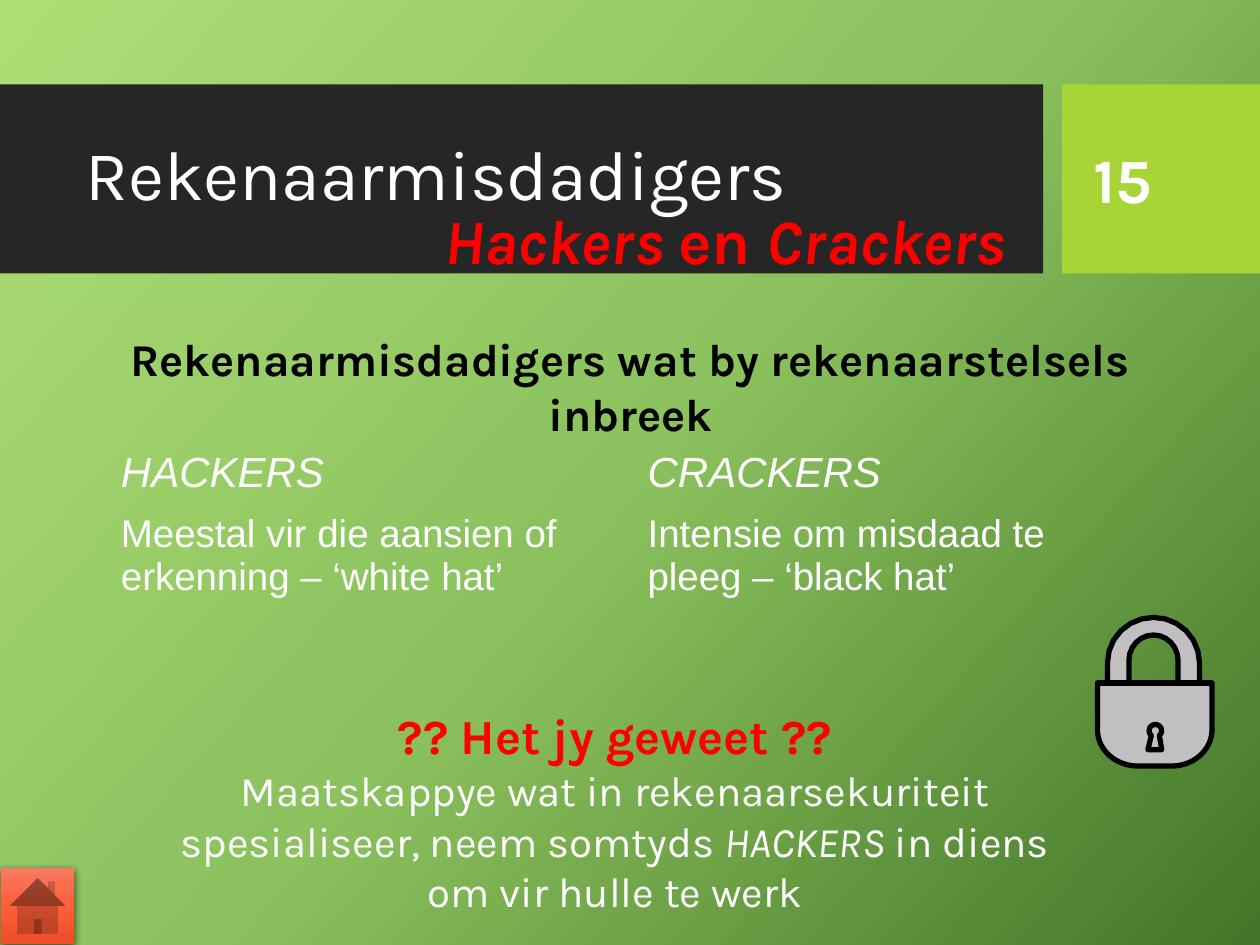
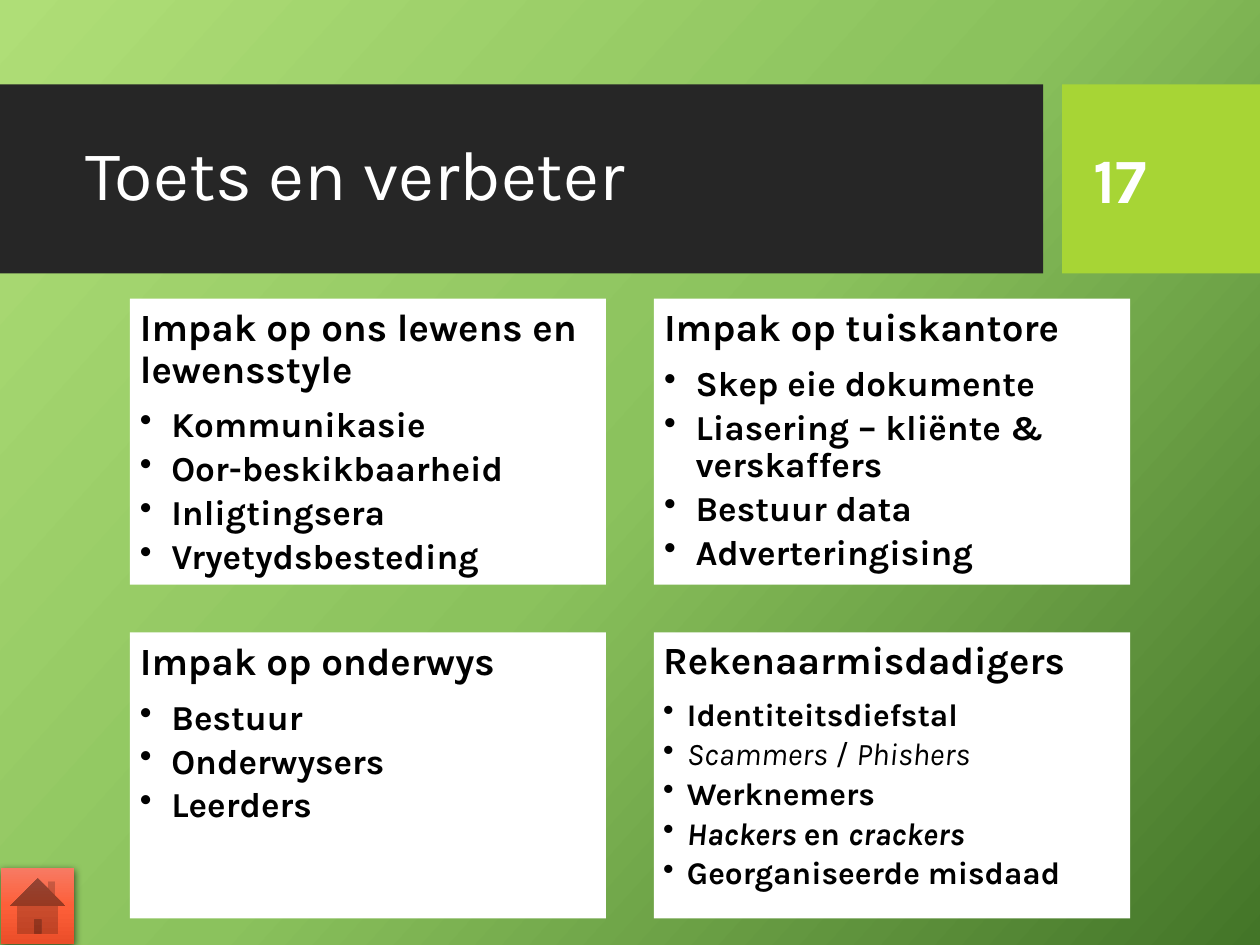
import copy
import math

from lxml import etree
from pptx import Presentation
from pptx import util as u
from pptx.dml.color import RGBColor
from pptx.enum import shapes, text
from pptx.oxml import ns

# The slide is a grid of 100 columns by 75 rows of square cells
COLS, ROWS = 100, 75
WIDE = u.Inches(10)
CELL = WIDE // COLS

HEX = {
    "band": "262626", "lime": "A7D535", "white": "FFFFFF", "black": "000000",
    "red": "FF0000", "steel": "C0C0C0",
}
GREENS = ["AFDE77", "8BC25D", "437528"]
CORALS = ["F77A63", "FD5F39", "EB4E29"]
FONT = "Karla"
LEAD = 1.17  # line height of the font, per point of size
PLAIN = "{2D5ABB26-0587-4C30-8999-92F81FD0307C}"  # table style without grid

PANELS = [
    ("Impak op ons lewens en lewensstyle",
     ["Kommunikasie", "Oor-beskikbaarheid", "Inligtingsera",
      "Vryetydsbesteding"], 20),
    ("Impak op tuiskantore",
     ["Skep eie dokumente", "Liasering – kliënte & verskaffers",
      "Bestuur data", "Adverteringising"], 20),
    ("Impak op onderwys", ["Bestuur", "Onderwysers", "Leerders"], 20),
    ("Rekenaarmisdadigers",
     ["Identiteitsdiefstal",
      [("Scammers", True), (" / ", False), ("Phishers", True)],
      "Werknemers",
      [("Hackers ", True), ("en ", False), ("crackers", True)],
      "Georganiseerde misdaad"], 18),
]
LIGHT = PANELS[3][1][1]  # the one item that is not bold


def rgb(name):
    return RGBColor.from_string(HEX[name])


def cells(*nums):
    return [round(n * CELL) for n in nums]


def blend(fill, tones, angle):
    """Three-stop gradient; the angle runs clockwise."""
    fill.gradient()
    first = fill.gradient_stops[0]._gs
    first.addnext(copy.deepcopy(first))
    for stop, tone, place in zip(fill.gradient_stops, tones, (0, 0.5, 1)):
        stop.color.rgb = RGBColor.from_string(tone)
        stop.position = place
    fill.gradient_angle = 360 - angle


# Text
def write(frame, runs, size, color="white", bold=False, align="LEFT",
          font=FONT, lead=None, after=0, hang=0):
    """Add a paragraph; runs is a string or a list of (words, italic)."""
    para = frame.paragraphs[0]
    if para.runs:
        para = frame.add_paragraph()
    if hang:
        props = para._p.get_or_add_pPr()
        props.set("marL", str(u.Inches(hang)))
        props.set("indent", str(-u.Inches(hang)))
        etree.SubElement(props, ns.qn("a:buChar")).set("char", "•")
    para.alignment = getattr(text.PP_ALIGN, align)
    para.space_after = u.Pt(round(after * LEAD * size, 1))
    if lead:
        para.line_spacing = lead
    para.font.name, para.font.size = font, u.Pt(size)
    para.font.bold, para.font.color.rgb = bold, rgb(color)
    if isinstance(runs, str):
        runs = [(runs, False)]
    for words, slant in runs:
        run = para.add_run()
        run.text = words
        if slant:
            run.font.italic = True


def label(slide, box, middle=False):
    frame = slide.shapes.add_textbox(*cells(*box)).text_frame
    frame.word_wrap = True
    if middle:
        frame.vertical_anchor = text.MSO_ANCHOR.MIDDLE
    return frame


# Shapes
def block(slide, box, color, kind="RECTANGLE"):
    shape = slide.shapes.add_shape(
        getattr(shapes.MSO_SHAPE, kind), *cells(*box))
    shape.shadow.inherit = False
    shape.line.fill.background()
    shape.fill.solid()
    shape.fill.fore_color.rgb = rgb(color)
    return shape


def home(slide):
    button = block(slide, (0.1, 68.9, 5.8, 6), "red", "ACTION_BUTTON_HOME")
    blend(button.fill, CORALS, 90)
    glow = button._element.spPr.find(ns.qn("a:effectLst"))
    shade = etree.SubElement(
        glow, ns.qn("a:outerShdw"), blurRad=str(u.Pt(4.5)),
        dist=str(u.Pt(1.5)), dir="5400000", algn="ctr", rotWithShape="0")
    tone = etree.SubElement(shade, ns.qn("a:srgbClr"), val=HEX["black"])
    etree.SubElement(tone, ns.qn("a:alpha"), val="63000")


def ink(shape):
    shape.line.color.rgb = rgb("black")
    shape.line.width = u.Pt(3)


def arc(x, y, wide, high, start, end, steps=12):
    """Points on an ellipse; degrees run clockwise from the right."""
    turns = [math.radians(start + (end - start) * i / steps)
             for i in range(steps + 1)]
    return [(x + wide * math.cos(t), y + high * math.sin(t)) for t in turns]


def outline(slide, *rings):
    rings = [[cells(*point) for point in ring] for ring in rings]
    pen = slide.shapes.build_freeform(*rings[0][0], scale=1.0)
    for ring in rings:
        if ring is not rings[0]:
            pen.move_to(*ring[0])
        pen.add_line_segments(ring[1:], close=True)
    shape = pen.convert_to_shape()
    shape.shadow.inherit = False
    shape.fill.solid()
    shape.fill.fore_color.rgb = rgb("steel")
    ink(shape)


def padlock(slide):
    left, right, top = 87.1, 96.2, 54.2
    body = [(left, top), (87.9, top),
            *arc(91.55, 52.6, 3.65, 3.6, 180, 360),
            (95.2, top), (right, top),
            *arc(93, 57.9, 3.2, 2.9, 0, 90),
            *arc(90.3, 57.9, 3.2, 2.9, 90, 180)]
    gap = [(89.6, top), *arc(91.55, 52.4, 1.95, 2, 180, 360), (93.5, top)]
    outline(slide, body, gap)
    seam = slide.shapes.add_connector(
        shapes.MSO_CONNECTOR.STRAIGHT, *cells(left, top, right, top))
    etree.SubElement(seam._element.spPr, ns.qn("a:effectLst"))
    ink(seam)
    outline(slide, [(91.1, 59.5), *arc(91.7, 58, 0.5, 0.5, 130, 410),
                    (92.2, 59.5)])


# Table without fills or borders
def compare(slide, rows):
    high = [4.8, 7.8]
    frame = slide.shapes.add_table(
        2, 2, *cells(8.6, 35.2, 83.6, sum(high)))
    table = frame.table
    table.first_row = table.horz_banding = False
    table._tbl.tblPr.find(ns.qn("a:tableStyleId")).text = PLAIN
    for r, (words, size) in enumerate(rows):
        table.rows[r].height = cells(high[r])[0]
        for c, word in enumerate(words):
            cell = table.cell(r, c)
            cell.fill.background()
            write(cell.text_frame, [(word, r == 0)], size, font="Arial")


def panel(slide, col, row, head, items, size):
    shape = block(slide, (10.3 + 41.6 * col, 23.7 + 26.5 * row, 37.8, 22.7),
                  "white")
    frame = shape.text_frame
    frame.word_wrap = True
    frame.vertical_anchor = text.MSO_ANCHOR.TOP
    inset = u.Inches(size * 0.004)
    frame.margin_left = frame.margin_right = inset
    frame.margin_top = frame.margin_bottom = inset
    write(frame, head, 22, "black", True, lead=0.9, after=0.35)
    for item in items:
        write(frame, item, size, "black", item is not LIGHT, lead=0.9,
              after=0.15, hang=0.25 if size == 20 else 0.19)


# Background, title band and number, shared by the slides
def start(deck, title, number):
    slide = deck.slides.add_slide(deck.slide_layouts[6])
    blend(slide.background.fill, GREENS, 42)
    block(slide, (0, 6.7, 82.8, 15), "band")
    block(slide, (84.3, 6.7, 15.7, 15), "lime")
    write(label(slide, (5.8, 8.2, 75.4, 11.8), True), title, 40, lead=0.9)
    write(label(slide, (85.8, 8.2, 12.7, 11.9), True), number, 36, bold=True)
    return slide


def crooks(deck):
    slide = start(deck, "Rekenaarmisdadigers", "15")
    write(label(slide, (29.1, 15.5, 56.9, 7.1)),
          [("Hackers ", True), ("en ", False), ("Crackers", True)],
          36, "red", True, "CENTER")
    write(label(slide, (2.8, 25.8, 94.5, 5.4)),
          "Rekenaarmisdadigers wat by rekenaarstelsels inbreek",
          26, "black", True, "CENTER")
    compare(slide, [
        (["HACKERS", "CRACKERS"], 24),
        (["Meestal vir die aansien of erkenning – ‘white hat’",
          "Intensie om misdaad te pleeg – ‘black hat’"], 22)])
    fact = label(slide, (11.4, 53.2, 74.8, 20.2))
    write(fact, "?? Het jy geweet ??", 28, "red", True, "CENTER", lead=1.5)
    write(fact, [("Maatskappye wat in rekenaarsekuriteit spesialiseer, "
                  "neem somtyds ", False), ("HACKERS", True),
                 (" in diens om vir hulle te werk", False)],
          24, align="CENTER")
    padlock(slide)
    home(slide)


def review(deck):
    slide = start(deck, "Toets en verbeter", "17")
    for i, (head, items, size) in enumerate(PANELS):
        panel(slide, i % 2, i // 2, head, items, size)
    home(slide)


def main():
    deck = Presentation()
    deck.slide_width, deck.slide_height = WIDE, CELL * ROWS
    crooks(deck)
    review(deck)
    deck.save("out.pptx")


if __name__ == "__main__":
    main()
